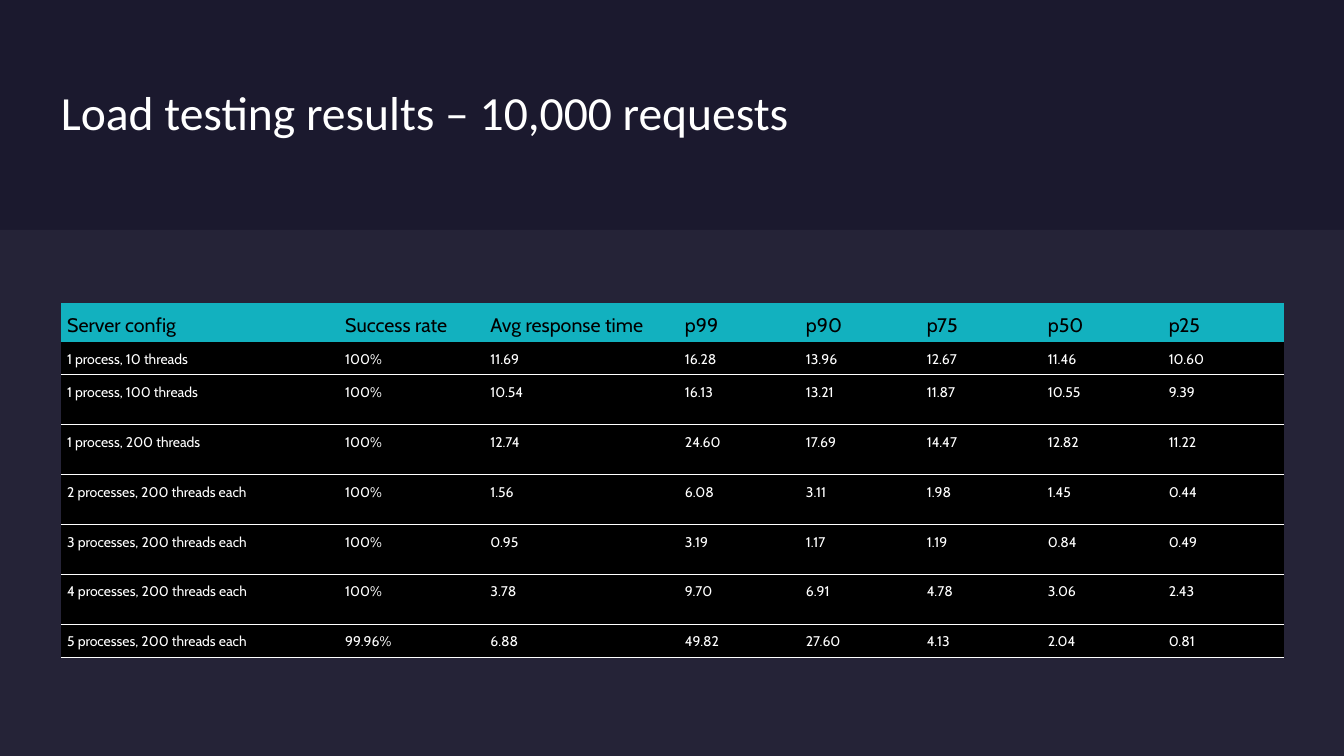
import pptx
import pptx.util
import pptx.dml.color
import pptx.enum.shapes
import pptx.enum.text
import pptx.oxml.ns
import lxml.etree
from dataclasses import dataclass

Pt = pptx.util.Pt
ANCHOR = pptx.enum.text.MSO_ANCHOR


@dataclass(frozen=True)
class Theme:
    back: str = "1B192E"
    panel: str = "E4E3F0"
    head: str = "12B1BF"
    body: str = "000000"
    light: str = "FFFFFF"
    dark: str = "000000"
    title_font: str = "Calibri"
    table_font: str = "Cabin"
    title_size: float = 34
    head_size: float = 14
    body_size: float = 10
    rule: float = 0.75
    plain_style: str = "{2D5ABB26-0587-4C30-8999-92F81FD0307C}"


def add_node(parent, tag, **attrs):
    return lxml.etree.SubElement(parent, pptx.oxml.ns.qn(tag), attrs)


class Page:
    def __init__(self, deck, theme):
        self.theme = theme
        self.slide = deck.slides.add_slide(deck.slide_layouts[6])
        self.paint(self.slide.background.fill, theme.back)

    def paint(self, fill, tint):
        fill.solid()
        fill.fore_color.rgb = pptx.dml.color.RGBColor.from_string(tint)

    def add_text(self, para, text, font, size, tint):
        run = para.add_run()
        run.text = text
        run.font.name = font
        run.font.size = Pt(size)
        self.paint(run.font.fill, tint)

    def block(self, left, top, width, height, tint, alpha=100):
        shape = self.slide.shapes.add_shape(
            pptx.enum.shapes.MSO_SHAPE.RECTANGLE,
            Pt(left), Pt(top), Pt(width), Pt(height))
        shape.shadow.inherit = False
        shape.line.fill.background()
        self.paint(shape.fill, tint)
        if alpha < 100:
            tag = pptx.oxml.ns.qn("a:srgbClr")
            color = next(shape.element.spPr.iter(tag))
            add_node(color, "a:alpha", val=str(alpha * 1000))

    def title(self, left, top, width, height, text):
        box = self.slide.shapes.add_textbox(
            Pt(left), Pt(top), Pt(width), Pt(height))
        frame = box.text_frame
        frame.word_wrap = True
        frame.vertical_anchor = ANCHOR.MIDDLE
        frame.margin_left = frame.margin_right = Pt(0)
        frame.margin_top = frame.margin_bottom = Pt(0)
        para = frame.paragraphs[0]
        para.line_spacing = 0.9
        look = self.theme
        self.add_text(para, text, look.title_font, look.title_size, look.light)

    def underline(self, cell):
        line = add_node(cell._tc.get_or_add_tcPr(), "a:lnB",
                        w=str(Pt(self.theme.rule)))
        fill = add_node(line, "a:solidFill")
        add_node(fill, "a:srgbClr", val=self.theme.light)

    def cell(self, cell, text, is_head):
        look = self.theme
        cell.margin_left = cell.margin_right = Pt(4.4)
        cell.margin_top, cell.margin_bottom = Pt(6.5), Pt(2.2)
        if is_head:
            cell.vertical_anchor = ANCHOR.MIDDLE
            size, tint, fill = look.head_size, look.dark, look.head
        else:
            self.underline(cell)
            size, tint, fill = look.body_size, look.light, look.body
        self.paint(cell.fill, fill)
        self.add_text(cell.text_frame.paragraphs[0], text,
                      look.table_font, size, tint)

    def table(self, left, top, widths, heights, rows):
        frame = self.slide.shapes.add_table(
            len(rows), len(widths), Pt(left), Pt(top),
            Pt(sum(widths)), Pt(sum(heights)))
        table = frame.table
        table.horz_banding = False
        tag = pptx.oxml.ns.qn("a:tableStyleId")
        next(frame.element.iter(tag)).text = self.theme.plain_style
        for col, width in zip(table.columns, widths):
            col.width = Pt(width)
        for r, (height, row) in enumerate(zip(heights, rows)):
            table.rows[r].height = Pt(height)
            for c, text in enumerate(row):
                self.cell(table.cell(r, c), text, r == 0)


RESULTS = [
    ("Server config", "Success rate", "Avg response time",
     "p99", "p90", "p75", "p50", "p25"),
    ("1 process, 10 threads", "100%", "11.69",
     "16.28", "13.96", "12.67", "11.46", "10.60"),
    ("1 process, 100 threads", "100%", "10.54",
     "16.13", "13.21", "11.87", "10.55", "9.39"),
    ("1 process, 200 threads", "100%", "12.74",
     "24.60", "17.69", "14.47", "12.82", "11.22"),
    ("2 processes, 200 threads each", "100%", "1.56",
     "6.08", "3.11", "1.98", "1.45", "0.44"),
    ("3 processes, 200 threads each", "100%", "0.95",
     "3.19", "1.17", "1.19", "0.84", "0.49"),
    ("4 processes, 200 threads each", "100%", "3.78",
     "9.70", "6.91", "4.78", "3.06", "2.43"),
    ("5 processes, 200 threads each", "99.96%", "6.88",
     "49.82", "27.60", "4.13", "2.04", "0.81"),
]


def main():
    wide, high, edge = 960, 540, 43.5
    deck = pptx.Presentation()
    deck.slide_width, deck.slide_height = Pt(wide), Pt(high)
    theme = Theme()
    page = Page(deck, theme)

    # Backdrop, title and lower panel
    page.block(0, 0, wide, high, theme.back)
    page.title(edge, 43.2, 575.3, 77.8,
               "Load testing results – 10,000 requests")
    split = 164.2
    page.block(0, split, wide, high - split, theme.panel, alpha=5)

    # Load test table
    widths = [198.7, 103.7, 139] + [86.4] * 5
    heights = [27.6, 23.4] + [35.7] * 5 + [23.4]
    page.table(edge, 216.6, widths, heights, RESULTS)

    deck.save("out.pptx")


if __name__ == "__main__":
    main()
